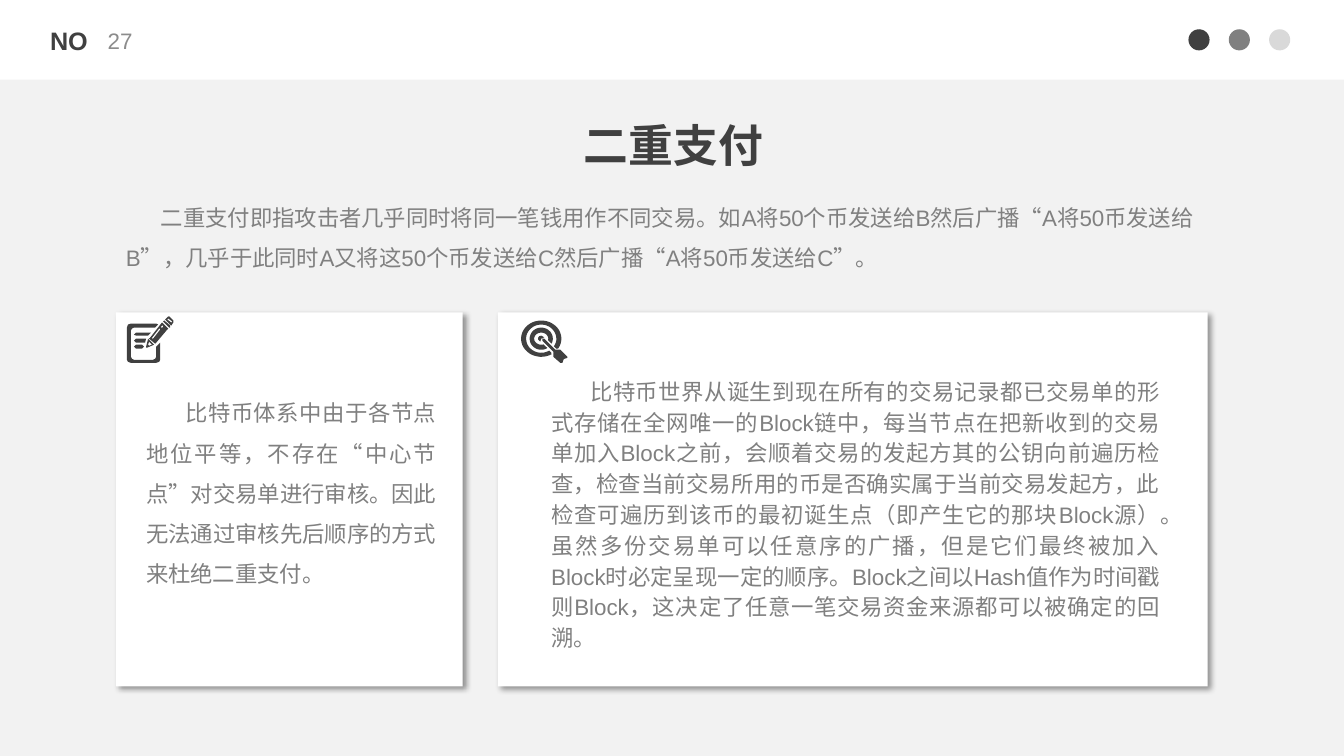
"""Build the slide on double spending: an introduction above two icon cards."""
import math
from dataclasses import dataclass
from typing import Optional, Union

from lxml import etree
from pptx import Presentation
from pptx.dml.color import RGBColor
from pptx.enum.lang import MSO_LANGUAGE_ID
from pptx.enum.shapes import MSO_SHAPE
from pptx.enum.text import MSO_ANCHOR, MSO_AUTO_SIZE, PP_ALIGN
from pptx.oxml.ns import qn
from pptx.shapes.autoshape import Shape
from pptx.slide import Slide
from pptx.util import Length, Pt

RECTANGLE, OVAL = MSO_SHAPE.RECTANGLE, MSO_SHAPE.OVAL
LEFT, CENTER, RIGHT, JUSTIFY = PP_ALIGN.LEFT, PP_ALIGN.CENTER, PP_ALIGN.RIGHT, PP_ALIGN.JUSTIFY
TOP, MIDDLE = MSO_ANCHOR.TOP, MSO_ANCHOR.MIDDLE
NO_AUTOFIT = MSO_AUTO_SIZE.NONE
CHINESE = MSO_LANGUAGE_ID.SIMPLIFIED_CHINESE

COLORS = {
    "background": "F2F2F2", "white": "FFFFFF", "dark": "404040", "middle": "808080",
    "light": "D9D9D9", "number": "8C8C8C", "shadow": "000000",
}
LATIN_FONT, CHINESE_FONT = "Arial", "Noto Sans CJK SC"
ICON_UNIT = Pt(0.72)
ICON_PRECISION = 10

Point = tuple[float, float]
Contour = list[Point]


@dataclass(frozen=True)
class Box:
    """A frame in points."""
    left: float
    top: float
    width: float
    height: float

    def lengths(self) -> tuple[Length, Length, Length, Length]:
        """Return the frame as lengths."""
        return Pt(self.left), Pt(self.top), Pt(self.width), Pt(self.height)


@dataclass(frozen=True)
class Label:
    """A text with its frame and format."""
    text: str
    box: Box
    size: float = 16
    color: str = "middle"
    bold: bool = False
    align: PP_ALIGN = LEFT
    anchor: MSO_ANCHOR = TOP
    wrap: bool = True
    spacing: Optional[Union[float, Length]] = None
    indent: float = 0
    font: str = LATIN_FONT


@dataclass(frozen=True)
class Card:
    """A white panel with an icon and a text."""
    box: Box
    icon_left: float
    icon_top: float
    icon: list[Contour]
    label: Label


def arc(radius_x: float, radius_y: float, start: int, end: int) -> Contour:
    """Return points along an elliptical arc around the target's centre."""
    steps = 40
    angles = [math.radians(start + (end - start) * step / steps) for step in range(steps + 1)]
    return [(20 + radius_x * math.cos(a), 18 + radius_y * math.sin(a)) for a in angles]


NOTEPAD_ICON: list[Contour] = [
    [(4, 7), (29, 7), (31, 8), (28, 11), (7, 11), (5, 12), (4, 14), (4, 40), (5, 42), (7, 43),
     (26, 43), (28, 42), (29, 40), (29, 30), (33, 26), (33, 43), (32, 45), (29, 46), (4, 46),
     (1, 45), (0, 43), (0, 11), (1, 8)],
    [(9, 16), (24, 16), (21, 19), (9, 19), (7, 18)],
    [(9, 22), (19, 22), (18, 26), (9, 26), (7, 24)],
    [(9, 28), (15, 28), (17, 30), (15, 32), (9, 32), (7, 30)],
    [(21, 22), (27, 28), (20, 31), (19, 31), (19, 30)],
    [(22, 25), (21, 28), (22, 29), (25, 28)],
    [(35, 6), (41, 12), (40, 13), (29, 26), (28, 27), (22, 22), (23, 21), (34, 7)],
    [(33, 12), (32, 12), (25, 21), (25, 22), (26, 22), (33, 13)],
    [(36, 9), (35, 9), (34, 10), (34, 11), (35, 11), (36, 10)],
    [(37, 4), (43, 9), (43, 11), (42, 11), (36, 5)],
    [(41, 0), (42, 0), (46, 4), (46, 6), (44, 9), (38, 3), (40, 1)],
    [(41, 2), (40, 3), (44, 6), (45, 5)],
]
TARGET_ICON: list[Contour] = [
    arc(20, 18, 60, 393) + [(35, 28), (33, 26)] + arc(15, 14, 393, 58) + [(30, 32), (30, 34)],
    arc(11.5, 11, 58, 387) + arc(7, 6, 375, 72),
    [(20, 15), (22, 16), (23, 17), (22, 17), (20, 18), (19, 21), (17, 19), (17, 17), (18, 15.5)],
    [(22, 18), (23, 18), (34, 29), (39, 29), (46, 36), (46, 37), (43, 38), (42, 39), (41, 42),
     (39, 42), (32, 36), (32, 31), (21, 20), (21, 18)],
]

TITLE = Label("二重支付", Box(284.4, 79.92, 393.12, 46.08), 32, "dark", True, CENTER, MIDDLE,
              font=CHINESE_FONT)
LABELS = [
    Label("NO", Box(28.08, 14.4, 41.76, 28.8), 18, "dark", True, RIGHT, wrap=False),
    Label("27", Box(69.84, 14.4, 51.12, 28.8), color="number", anchor=MIDDLE),
    Label("二重支付即指攻击者几乎同时将同一笔钱用作不同交易。如A将50个币发送给B然后广播“A将50币发送给B”，"
          "几乎于此同时A又将这50个币发送给C然后广播“A将50币发送给C”。",
          Box(82.8, 132.48, 793.44, 61.92), spacing=1.5, indent=25),
]
CARDS = [
    Card(Box(82.8, 223.2, 247.68, 267.12), 90.72, 226.08, NOTEPAD_ICON, Label(
        "比特币体系中由于各节点地位平等，不存在“中心节点”对交易单进行审核。"
        "因此无法通过审核先后顺序的方式来杜绝二重支付。",
        Box(97.2, 272.16, 221.76, 149.04), align=JUSTIFY, spacing=1.5, indent=28)),
    Card(Box(355.68, 223.2, 506.88, 267.12), 372.24, 228.96, TARGET_ICON, Label(
        "比特币世界从诞生到现在所有的交易记录都已交易单的形式存储在全网唯一的Block链中，"
        "每当节点在把新收到的交易单加入Block之前，会顺着交易的发起方其的公钥向前遍历检查，"
        "检查当前交易所用的币是否确实属于当前交易发起方，此检查可遍历到该币的最初诞生点"
        "（即产生它的那块Block源）。虽然多份交易单可以任意序的广播，但是它们最终被加入Block时"
        "必定呈现一定的顺序。Block之间以Hash值作为时间戳则Block，"
        "这决定了任意一笔交易资金来源都可以被确定的回溯。",
        Box(386.64, 263.64, 449.28, 208), align=JUSTIFY, spacing=Pt(22), indent=28)),
]


def paint(shape: Shape, color: str) -> None:
    """Give a shape a flat fill without line or shadow."""
    shape.fill.solid()
    shape.fill.fore_color.rgb = RGBColor.from_string(COLORS[color])
    shape.line.fill.background()
    shape.shadow.inherit = False


def add_panel(slide: Slide, kind: MSO_SHAPE, box: Box, color: str) -> Shape:
    """Draw a preset shape in one colour."""
    shape = slide.shapes.add_shape(kind, *box.lengths())
    paint(shape, color)
    return shape


def add_shadow(shape: Shape) -> None:
    """Give a shape a soft shadow to the lower right."""
    effects = shape._element.spPr.find(qn("a:effectLst"))
    shadow = etree.SubElement(effects, qn("a:outerShdw"), blurRad=str(Pt(4)), dist=str(Pt(3)),
                              dir="2700000", algn="tl", rotWithShape="0")
    color = etree.SubElement(shadow, qn("a:srgbClr"), val=COLORS["shadow"])
    etree.SubElement(color, qn("a:alpha"), val="40000")


def write_label(shape: Shape, label: Label) -> None:
    """Place a text shape and format its text."""
    shape.left, shape.top, shape.width, shape.height = label.box.lengths()
    frame = shape.text_frame
    frame.text = label.text
    frame.word_wrap = label.wrap
    frame.auto_size = NO_AUTOFIT
    frame.vertical_anchor = label.anchor
    paragraph = frame.paragraphs[0]
    paragraph.alignment = label.align
    paragraph.line_spacing = label.spacing
    paragraph._p.get_or_add_pPr().set("indent", str(Pt(label.indent)))
    run = paragraph.runs[0]
    run.font.size = Pt(label.size)
    run.font.bold = label.bold
    run.font.name = label.font
    run.font.language_id = CHINESE
    run.font.color.rgb = RGBColor.from_string(COLORS[label.color])
    latin = run._r.rPr.find(qn("a:latin"))
    latin.addnext(latin.makeelement(qn("a:ea"), {"typeface": CHINESE_FONT}))


def add_label(slide: Slide, label: Label) -> None:
    """Add a text box."""
    write_label(slide.shapes.add_textbox(*label.box.lengths()), label)


def add_icon(slide: Slide, card: Card) -> None:
    """Draw the icon of a card as one outline with holes."""
    contours = [[(x * ICON_PRECISION, y * ICON_PRECISION) for x, y in contour]
                for contour in card.icon]
    builder = slide.shapes.build_freeform(*contours[0][0], scale=ICON_UNIT / ICON_PRECISION)
    for contour in contours:
        builder.move_to(*contour[0])
        builder.add_line_segments(contour[1:], close=True)
    paint(builder.convert_to_shape(Pt(card.icon_left), Pt(card.icon_top)), "dark")


def main() -> None:
    """Build and save the slide."""
    presentation = Presentation()
    presentation.slide_width, presentation.slide_height = Pt(960), Pt(540)
    slide = presentation.slides.add_slide(presentation.slide_layouts[5])
    slide.background.fill.solid()
    slide.background.fill.fore_color.rgb = RGBColor.from_string(COLORS["background"])
    write_label(slide.shapes.title, TITLE)
    add_panel(slide, RECTANGLE, Box(0, 0, 960, 56.88), "white")
    for index, color in enumerate(("dark", "middle", "light")):
        add_panel(slide, OVAL, Box(848.88 + 28.8 * index, 20.88, 15.12, 15.12), color)
    for label in LABELS:
        add_label(slide, label)
    for card in CARDS:
        add_shadow(add_panel(slide, RECTANGLE, card.box, "white"))
        add_icon(slide, card)
        add_label(slide, card.label)
    presentation.save("out.pptx")


if __name__ == "__main__":
    main()
